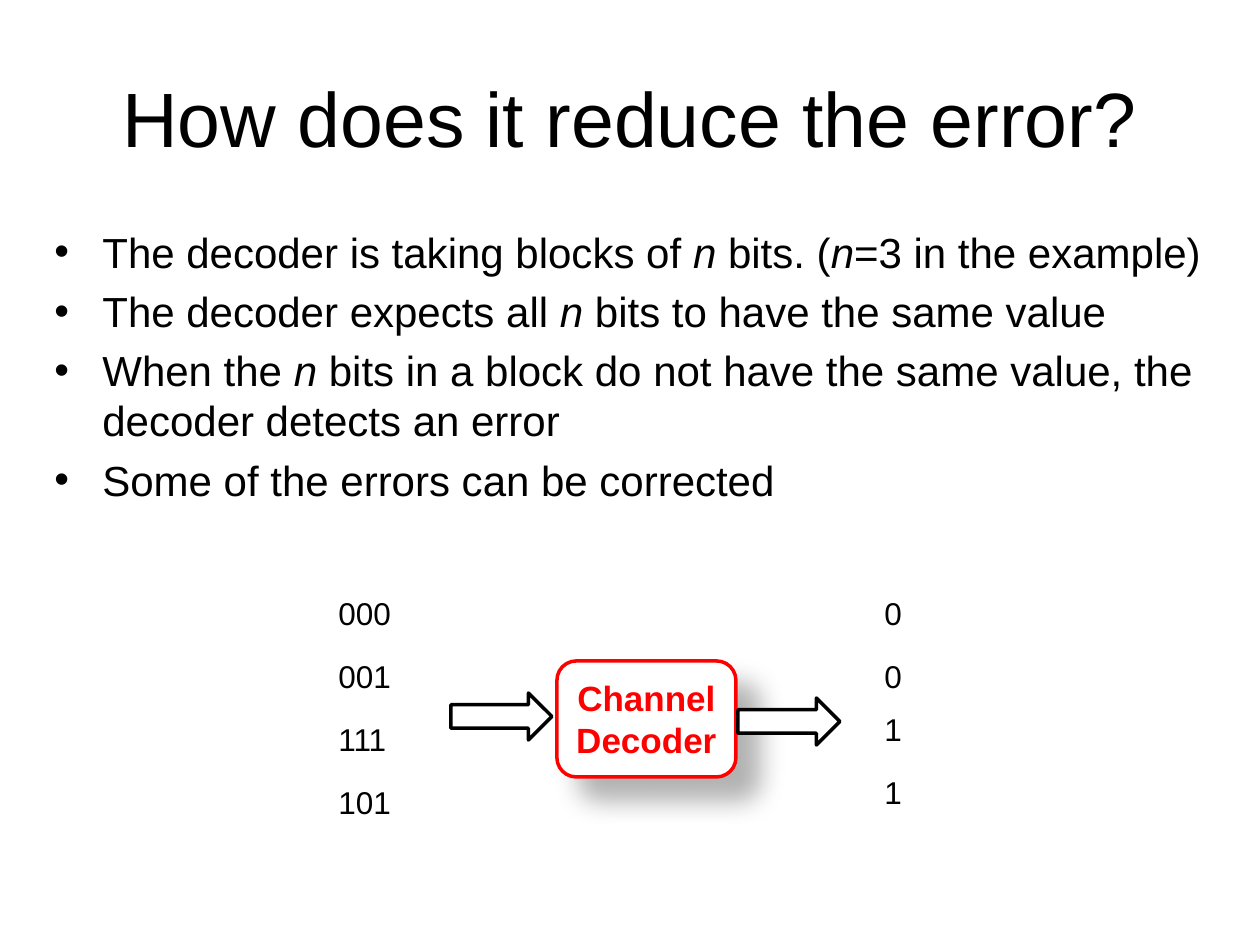
from lxml import etree
from pptx import Presentation
from pptx.dml.color import RGBColor
from pptx.enum.shapes import MSO_SHAPE
from pptx.enum.text import MSO_ANCHOR, PP_ALIGN
from pptx.oxml import parse_xml
from pptx.oxml.ns import nsdecls, qn
from pptx.util import Emu, Pt

PX_PER_INCH = 126
BLACK, WHITE, RED = "000000", "FFFFFF", "FF0000"

BULLETS = [
    "The decoder is taking blocks of *n* bits. (*n*=3 in the example)",
    "The decoder expects all *n* bits to have the same value",
    "When the *n* bits in a block do not have the same value, "
    "the decoder detects an error",
    "Some of the errors can be corrected",
]
RECEIVED = ["000", "001", "111", "101"]
DECODED = [("0", 588), ("0", 651), ("1", 704), ("1", 767)]


def px(n):
    return Emu(round(n * 914400 / PX_PER_INCH))


def color(value):
    return RGBColor.from_string(value)


def set_bullet(p, indent):
    pPr = p._p.get_or_add_pPr()
    pPr.set("marL", str(indent))
    pPr.set("indent", str(-indent))
    etree.SubElement(pPr, qn("a:buFont"), typeface="Arial")
    etree.SubElement(pPr, qn("a:buChar"), char="•")


def write(s, *paragraphs, size=18, fill=BLACK, bold=False, align=PP_ALIGN.LEFT,
          anchor=MSO_ANCHOR.TOP, before=0, bullet_indent=None):
    """Fill a shape with paragraphs; text between asterisks is italic."""
    tf = s.text_frame
    tf.word_wrap = True
    tf.vertical_anchor = anchor
    for i, text in enumerate(paragraphs):
        p = tf.add_paragraph() if i else tf.paragraphs[0]
        p.alignment = align
        p.space_before = Pt(before)
        if bullet_indent:
            set_bullet(p, px(bullet_indent))
        for j, part in enumerate(text.split("*")):
            r = p.add_run()
            r.text = part
            r.font.name = "Arial"
            r.font.size = Pt(size)
            r.font.bold = bold
            r.font.italic = j % 2 == 1
            r.font.color.rgb = color(fill)


def add_text(slide, box, *paragraphs, **fmt):
    s = slide.shapes.add_textbox(*map(px, box))
    write(s, *paragraphs, **fmt)


def add_outlined(slide, kind, box, line):
    s = slide.shapes.add_shape(kind, *map(px, box))
    s.shadow.inherit = False
    s.fill.solid()
    s.fill.fore_color.rgb = color(WHITE)
    s.line.color.rgb = color(line)
    s.line.width = Pt(2)
    return s


def add_shadow(s):
    effects = s._element.spPr.find(qn("a:effectLst"))
    effects.append(parse_xml(
        f'<a:outerShdw {nsdecls("a")} blurRad="{Pt(15)}" dist="{Pt(18)}" '
        f'dir="{45 * 60000}" algn="tl" rotWithShape="0">'
        f'<a:srgbClr val="{BLACK}"><a:alpha val="30000"/></a:srgbClr>'
        '</a:outerShdw>'))


def add_decoder(slide):
    s = add_outlined(slide, MSO_SHAPE.ROUNDED_RECTANGLE, (557, 661, 179, 116), RED)
    add_shadow(s)
    write(s, "Channel Decoder", size=20, fill=RED, bold=True,
          align=PP_ALIGN.CENTER, anchor=MSO_ANCHOR.MIDDLE)


def main():
    prs = Presentation()
    prs.slide_width, prs.slide_height = px(1260), px(945)
    slide = prs.slides.add_slide(prs.slide_layouts[6])

    add_text(slide, (63, 38, 1134, 157), "How does it reduce the error?", size=44,
             align=PP_ALIGN.CENTER, anchor=MSO_ANCHOR.MIDDLE)
    add_text(slide, (42, 220, 1187, 420), *BULLETS, size=24, before=5,
             bullet_indent=48)

    add_decoder(slide)
    for box in [(451, 693, 101, 47), (738, 698, 102, 47)]:
        add_outlined(slide, MSO_SHAPE.RIGHT_ARROW, box, BLACK)

    for i, bits in enumerate(RECEIVED):
        add_text(slide, (326, 588 + 63 * i, 84, 52), bits)
    for bit, top in DECODED:
        add_text(slide, (872, top, 63, 52), bit)

    prs.save("out.pptx")


if __name__ == "__main__":
    main()
